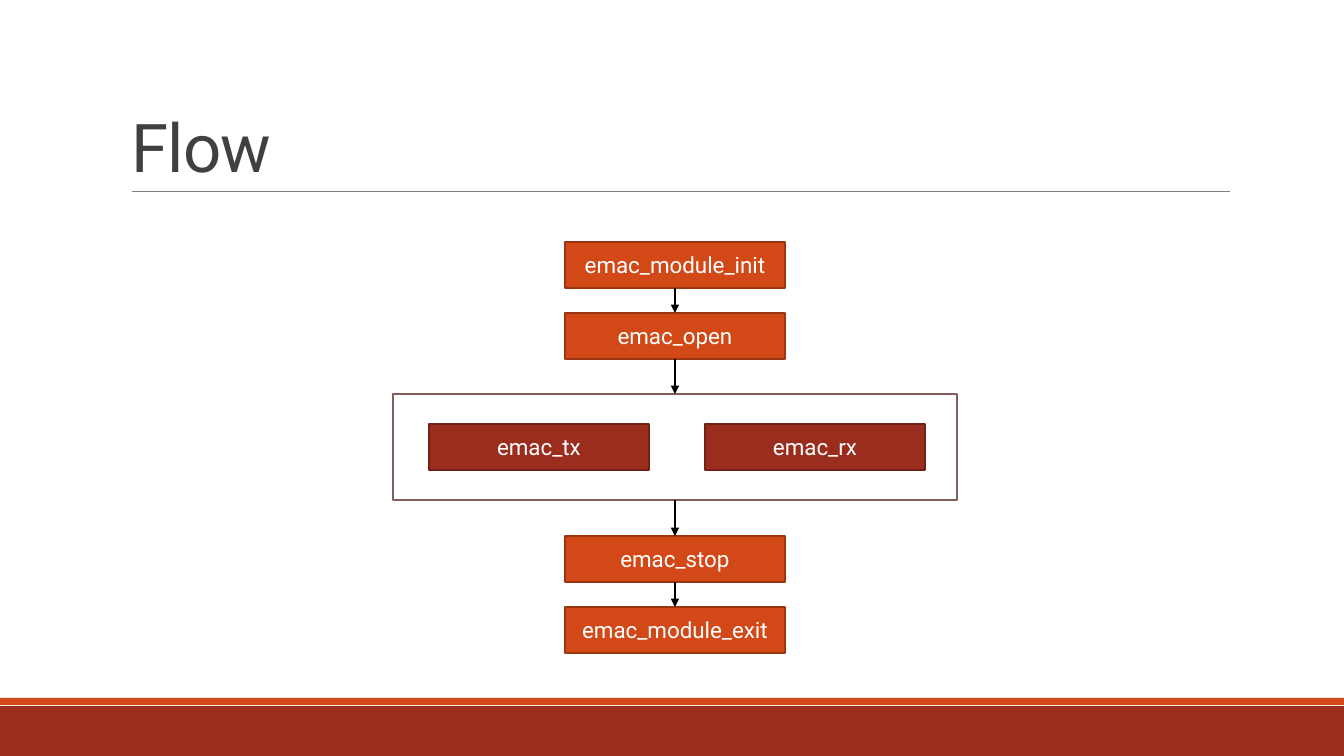
from lxml import etree
from pptx import Presentation
from pptx.dml.color import RGBColor
from pptx.enum.shapes import MSO_CONNECTOR, MSO_SHAPE
from pptx.enum.text import MSO_ANCHOR, MSO_AUTO_SIZE, PP_ALIGN
from pptx.oxml.ns import qn
from pptx.util import Emu, Pt

RECTANGLE = MSO_SHAPE.RECTANGLE
STRAIGHT = MSO_CONNECTOR.STRAIGHT
MIDDLE, BOTTOM = MSO_ANCHOR.MIDDLE, MSO_ANCHOR.BOTTOM
LEFT, CENTER = PP_ALIGN.LEFT, PP_ALIGN.CENTER
NO_AUTOFIT = MSO_AUTO_SIZE.NONE
TITLE_ONLY = 5
TOP_SITE, BOTTOM_SITE = 0, 2

PAGE_WIDTH, PAGE_HEIGHT = 1344, 756
CENTER_X = 675
BOX_WIDTH, BOX_HEIGHT = 220, 46
ORANGE, ORANGE_EDGE = "D34817", "9C3511"
RED, RED_EDGE = "9B2D1F", "732117"


def px(length):
    return Emu(round(length * 914400 / 100.8))


def color(value):
    return RGBColor.from_string(value)


class FlowPage:
    font = "Roboto"
    line_width = 1.25

    def __init__(self, deck):
        self.page = deck.slides.add_slide(deck.slide_layouts[TITLE_ONLY])
        self.shapes = self.page.shapes

    def label(self, shape, text, size, ink, align, anchor):
        frame = shape.text_frame
        frame.text = text
        frame.word_wrap = True
        frame.auto_size = NO_AUTOFIT
        frame.vertical_anchor = anchor
        para = frame.paragraphs[0]
        para.alignment = align
        span = para.runs[0]
        span.font.name = self.font
        span.font.size = Pt(size)
        span.font.color.rgb = color(ink)
        return para

    def title(self, text, left, top, width, height):
        title = self.shapes.title
        title.left, title.top, title.width, title.height = map(px, (left, top, width, height))
        para = self.label(title, text, 48, "404040", LEFT, BOTTOM)
        para.line_spacing = 0.85
        para.runs[0].font._element.set("spc", "-50")

    def box(self, left, top, width, height, fill, edge=None, text=None):
        box = self.shapes.add_shape(RECTANGLE, *map(px, (left, top, width, height)))
        box.shadow.inherit = False
        box.fill.solid()
        box.fill.fore_color.rgb = color(fill)
        if edge:
            box.line.color.rgb = color(edge)
            box.line.width = Pt(self.line_width)
        else:
            box.line.fill.background()
        if text:
            self.label(box, text, 16, "FFFFFF", CENTER, MIDDLE)
        return box

    def line(self, start, end, ink, width):
        line = self.shapes.add_connector(STRAIGHT, *map(px, (*start, *end)))
        line.line.color.rgb = color(ink)
        line.line.width = Pt(width)
        etree.SubElement(line._element.spPr, qn("a:effectLst"))
        return line

    def arrow(self, upper, lower):
        arrow = self.line((0, 0), (0, 0), "000000", self.line_width)
        arrow.begin_connect(upper, BOTTOM_SITE)
        arrow.end_connect(lower, TOP_SITE)
        outline = arrow._element.spPr.find(qn("a:ln"))
        etree.SubElement(outline, qn("a:tailEnd"), type="triangle")


deck = Presentation()
deck.slide_width, deck.slide_height = px(PAGE_WIDTH), px(PAGE_HEIGHT)
flow = FlowPage(deck)

flow.box(0, 706, PAGE_WIDTH, 50, RED)
flow.box(0, 698, PAGE_WIDTH, 7, ORANGE)
flow.line((132, 191), (1230, 191), "808080", 0.5)
flow.title("Flow", 121, 31, 1109, 160)

transfer = flow.box(393, 394, 564, 106, "FFFFFF", "855D5D")
for left, name in ((429, "emac_tx"), (705, "emac_rx")):
    flow.box(left, 424, BOX_WIDTH, BOX_HEIGHT, RED, RED_EDGE, name)

steps = [
    flow.box(CENTER_X - BOX_WIDTH // 2, top, BOX_WIDTH, BOX_HEIGHT, ORANGE, ORANGE_EDGE, name)
    for top, name in (
        (242, "emac_module_init"),
        (313, "emac_open"),
        (536, "emac_stop"),
        (607, "emac_module_exit"),
    )
]
sequence = steps[:2] + [transfer] + steps[2:]
for upper, lower in zip(sequence, sequence[1:]):
    flow.arrow(upper, lower)

deck.save("out.pptx")
